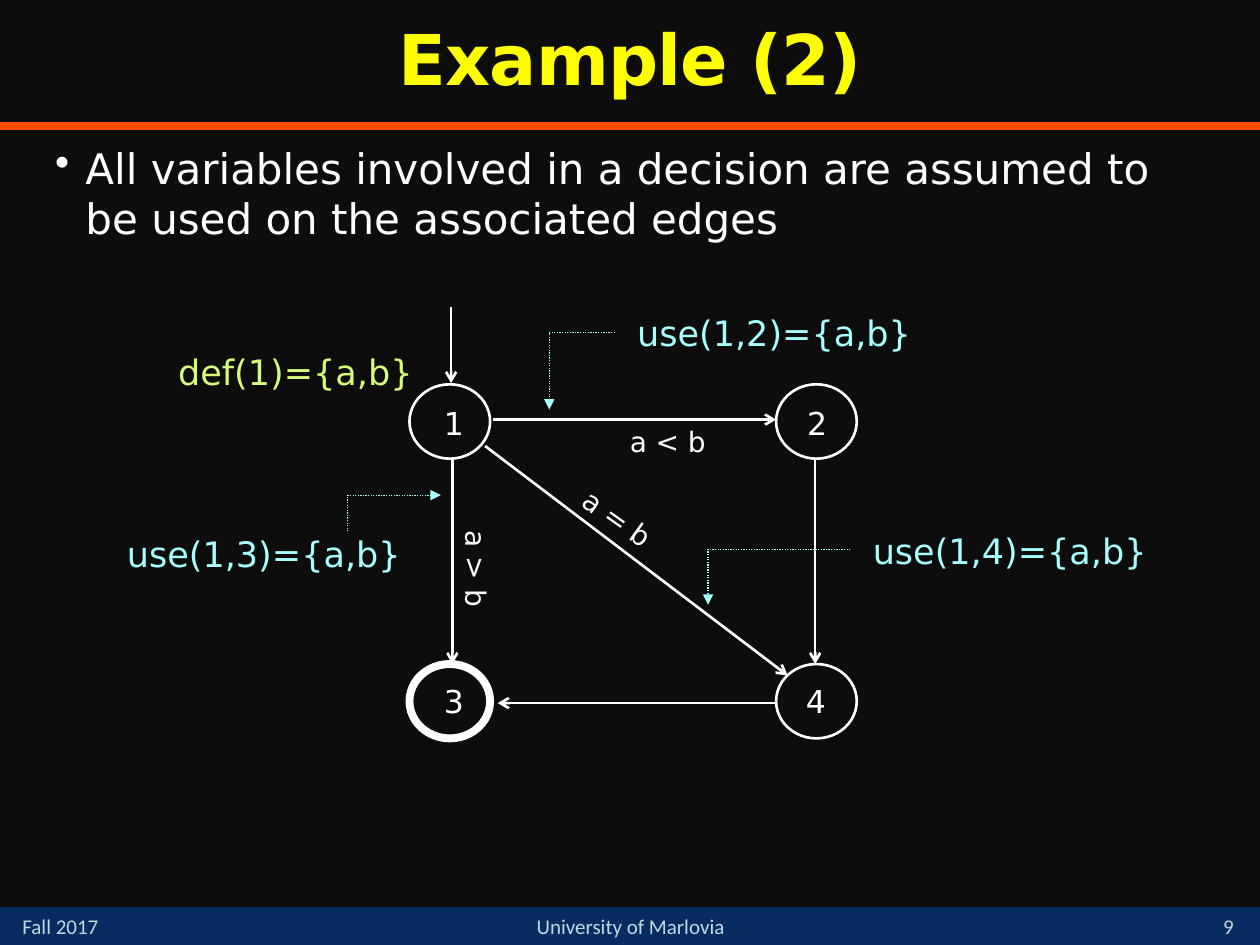
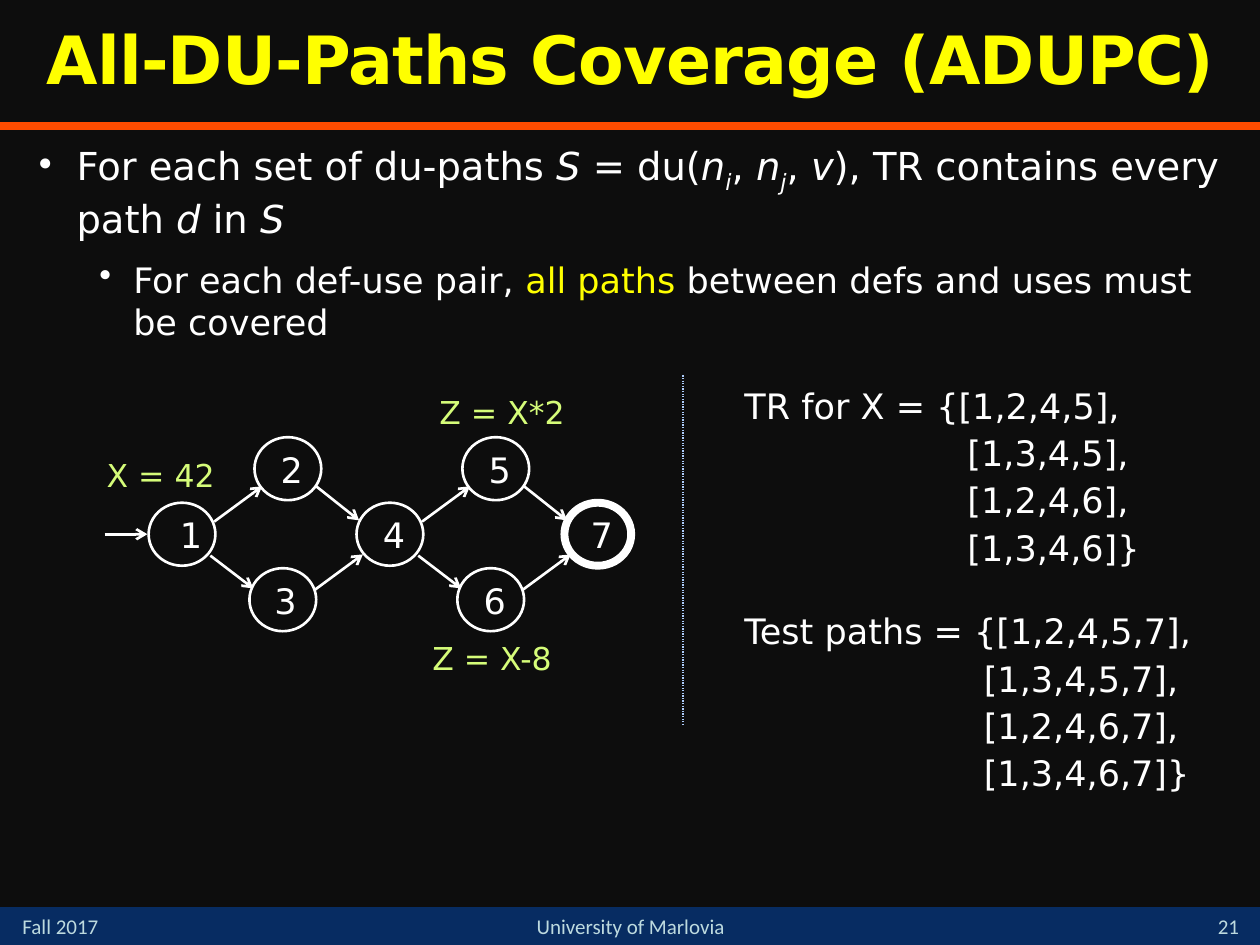
from dataclasses import dataclass
from typing import NamedTuple

from lxml import etree
from pptx import Presentation
from pptx.dml.color import RGBColor
from pptx.enum.dml import MSO_LINE
from pptx.enum.shapes import MSO_CONNECTOR, MSO_SHAPE
from pptx.enum.text import MSO_ANCHOR, MSO_AUTO_SIZE, PP_ALIGN
from pptx.oxml.ns import qn
from pptx.util import Inches, Pt

LEFT, CENTER, RIGHT = PP_ALIGN.LEFT, PP_ALIGN.CENTER, PP_ALIGN.RIGHT
TOP, MIDDLE, BOTTOM = MSO_ANCHOR.TOP, MSO_ANCHOR.MIDDLE, MSO_ANCHOR.BOTTOM
STRAIGHT, ELBOW = MSO_CONNECTOR.STRAIGHT, MSO_CONNECTOR.ELBOW
OVAL, RECT = MSO_SHAPE.OVAL, MSO_SHAPE.RECTANGLE
DOTS = MSO_LINE.ROUND_DOT
GROW, FIXED = MSO_AUTO_SIZE.SHAPE_TO_FIT_TEXT, MSO_AUTO_SIZE.NONE


@dataclass(frozen=True)
class Theme:
    font: str = "DejaVu Sans"
    foot_font: str = "Calibri"
    back: str = "0D0D0D"
    text: str = "FFFFFF"
    title: str = "FFFF00"
    rule: str = "FF4C00"
    band: str = "072C62"
    foot: str = "BDDADF"
    define: str = "D5FC79"
    use: str = "A7FEFF"
    split: str = "ACCBF9"
    foot_size: float = 12
    edge_size: float = 16
    node_size: float = 18
    list_size: float = 20
    lead_size: float = 22
    body_size: float = 24
    thin: float = 0.75
    line: float = 1.5
    thick: float = 4.5


THEME = Theme()


class Box(NamedTuple):
    left: float
    top: float
    width: float
    height: float

    def emu(self) -> list:
        return [Inches(v) for v in self]


class Run(NamedTuple):
    text: str
    italic: bool = False
    sub: bool = False
    color: str = THEME.text
    bold: bool = False
    track: float = 0


class Para(NamedTuple):
    runs: list[Run]
    size: float
    align: PP_ALIGN = LEFT
    level: int = 0
    margin: float = 0
    indent: float = 0
    before: float = 0
    after: float = 0
    bullet: bool = False
    spacing: float | None = None
    font: str = THEME.font


class Node(NamedTuple):
    box: Box
    name: str
    label: Box
    align: PP_ALIGN = LEFT
    final: bool = False


class Edge(NamedTuple):
    x1: float
    y1: float
    x2: float
    y2: float

    def shift(self, step: float) -> "Edge":
        return Edge(self.x1 + step, self.y1, self.x2 + step, self.y2)


def rgb(color: str) -> RGBColor:
    return RGBColor.from_string(color)


def add_run(para, run: Run, size: float, font: str) -> None:
    item = para.add_run()
    item.text = run.text
    face = item.font
    face.name, face.size = font, Pt(size)
    face.bold, face.italic = run.bold, run.italic
    face.color.rgb = rgb(run.color)
    props = face._element
    if run.sub:
        props.set("baseline", "-25000")
    if run.track:
        props.set("spc", str(int(run.track * 100)))


def add_para(para, data: Para) -> None:
    para.alignment, para.level = data.align, data.level
    para.space_before, para.space_after = Pt(data.before), Pt(data.after)
    if data.spacing:
        para.line_spacing = data.spacing
    props = para._p.get_or_add_pPr()
    props.set("marL", str(Inches(data.margin)))
    props.set("indent", str(Inches(data.indent)))
    if data.bullet:
        tint = etree.SubElement(props, qn("a:buClr"))
        etree.SubElement(tint, qn("a:srgbClr")).set("val", THEME.text)
        etree.SubElement(props, qn("a:buChar")).set("char", "•")
    for run in data.runs:
        add_run(para, run, data.size, data.font)


def add_text(slide, box: Box, paras: list[Para], anchor: MSO_ANCHOR = TOP,
             wrap: bool = True, grow: bool = False, turn: float = 0) -> None:
    shape = slide.shapes.add_textbox(*box.emu())
    shape.rotation = turn
    frame = shape.text_frame
    frame.word_wrap, frame.vertical_anchor = wrap, anchor
    frame.auto_size = GROW if grow else FIXED
    for k, data in enumerate(paras):
        add_para(frame.add_paragraph() if k else frame.paragraphs[0], data)


def add_line(slide, edge: Edge, color: str = THEME.text,
             width: float = THEME.line, kind: MSO_CONNECTOR = STRAIGHT):
    line = slide.shapes.add_connector(kind, *[Inches(v) for v in edge])
    line.line.color.rgb, line.line.width = rgb(color), Pt(width)
    etree.SubElement(line._element.spPr, qn("a:effectLst"))
    return line


def add_tip(line, kind: str, end: str = "tailEnd") -> None:
    etree.SubElement(line.line._get_or_add_ln(), qn(f"a:{end}")).set("type", kind)


def add_arrow(slide, edge: Edge) -> None:
    add_tip(add_line(slide, edge), "arrow")


def add_hook(slide, edge: Edge, end: str = "tailEnd") -> None:
    """Dotted pointer that runs sideways first, then turns once."""
    line = add_line(slide, edge, THEME.use, THEME.thin, ELBOW)
    line.line.dash_style = DOTS
    line._element.spPr.find(qn("a:prstGeom")).set("prst", "bentConnector2")
    add_tip(line, "triangle", end)


def add_node(slide, node: Node, size: float, grow: bool = False) -> None:
    ring = slide.shapes.add_shape(OVAL, *node.box.emu())
    ring.shadow.inherit = False
    ring.fill.background()
    ring.line.color.rgb = rgb(THEME.text)
    ring.line.width = Pt(THEME.thick if node.final else THEME.line)
    add_text(slide, node.label, [Para([Run(node.name)], size, node.align)],
             wrap=False, grow=grow)


def add_note(slide, box: Box, text: str, color: str, size: float) -> None:
    add_text(slide, box, [Para([Run(text, color=color)], size, CENTER)], grow=True)


def add_frame(deck, title: str, size: float, page: int):
    """New slide with title, rule and footer band."""
    slide = deck.slides.add_slide(deck.slide_layouts[6])
    band = slide.shapes.add_shape(RECT, *Box(0, 7.2, 10, 0.3).emu())
    band.shadow.inherit = False
    band.fill.solid()
    band.fill.fore_color.rgb = rgb(THEME.band)
    band.line.fill.background()
    add_line(slide, Edge(0, 1, 10, 1), THEME.rule, THEME.thick)
    for box, text, align, anchor in (
        (Box(0.08, 7.2, 1.17, 0.3), "Fall 2017", LEFT, TOP),
        (Box(9.5, 7.17, 0.5, 0.33), str(page), CENTER, BOTTOM),
        (Box(3.67, 7.2, 2.67, 0.3), "University of Marlovia", CENTER, TOP),
    ):
        add_text(slide, box, [Para([Run(text, color=THEME.foot)], THEME.foot_size,
                                   align, font=THEME.foot_font)], anchor)
    head = Run(title, color=THEME.title, bold=True, track=-0.5)
    add_text(slide, Box(0, 0, 10, 1),
             [Para([head], size, CENTER, spacing=0.9)], MIDDLE)
    return slide


def add_paths(slide, box: Box, margin: float, lines: list[str]) -> None:
    """List of paths whose later lines align under the first path."""
    first, *rest = lines
    paras = [Para([Run(first)], THEME.list_size, level=1, margin=1.07,
                  indent=-1.01, before=5, after=3)]
    paras += [Para([Run(text)], THEME.list_size, level=1, margin=margin, after=3)
              for text in rest]
    add_text(slide, box, paras)


def draw_example(deck) -> None:
    slide = add_frame(deck, "Example (2)", 40, 9)
    text = "All variables involved in a decision are assumed to be used on the associated edges"
    add_text(slide, Box(0.33, 1.08, 9.42, 2.16),
             [Para([Run(text)], THEME.body_size, margin=0.25, indent=-0.24,
                   before=20, after=3, bullet=True)])
    west, east, north, south = 3.25, 6.16, 3.05, 5.27
    for x, y, name, label, align in (
        (west, north, "1", Box(3.13, 3.16, 0.65, 0.4), RIGHT),
        (east, north, "2", Box(6.13, 3.16, 0.71, 0.41), CENTER),
        (west, south, "3", Box(3.07, 5.36, 0.71, 0.45), RIGHT),
        (east, south, "4", Box(6.12, 5.36, 0.71, 0.39), CENTER),
    ):
        node = Node(Box(x, y, 0.64, 0.59), name, label, align, name == "3")
        add_node(slide, node, THEME.node_size)
    for edge in (
        Edge(3.58, 2.44, 3.58, 3.04), Edge(3.91, 3.33, 6.16, 3.33),
        Edge(6.16, 5.58, 3.95, 5.58), Edge(3.85, 3.54, 6.25, 5.36),
        Edge(3.59, 3.64, 3.59, 5.27), Edge(6.47, 3.64, 6.47, 5.27),
    ):
        add_arrow(slide, edge)
    for box, text, turn in (
        (Box(4.9, 3.32, 1.01, 0.41), "a < b", 0),
        (Box(3.23, 4.38, 1, 0.47), "a > b", 90),
        (Box(4.47, 3.93, 0.83, 0.46), "a = b", 35.4),
    ):
        add_text(slide, box, [Para([Run(text)], THEME.edge_size)],
                 wrap=False, turn=turn)
    add_note(slide, Box(1.19, 2.73, 2.31, 0.44), "def(1)={a,b}",
             THEME.define, THEME.list_size)
    for x, y, node in ((0.83, 4.18, 3), (4.88, 2.42, 2), (6.75, 4.15, 4)):
        add_note(slide, Box(x, y, 2.53, 0.44), f"use(1,{node})={{a,b}}",
                 THEME.use, THEME.list_size)
    add_hook(slide, Edge(3.5, 3.93, 2.76, 4.21), "headEnd")
    add_hook(slide, Edge(4.88, 2.64, 4.36, 3.25))
    add_hook(slide, Edge(6.75, 4.36, 5.62, 4.8))


def draw_cover(deck) -> None:
    slide = add_frame(deck, "All-DU-Paths Coverage (ADUPC)", 38, 21)
    lead = [
        Run("For each set of du-paths "), Run("S", True), Run(" = du("),
        Run("n", True), Run("i", True, True), Run(", "),
        Run("n", True), Run("j", True, True), Run(", "), Run("v", True),
        Run("), TR contains every path "), Run("d", True), Run(" in "), Run("S", True),
    ]
    detail = [Run("For each def-use pair, "), Run("all paths ", color=THEME.title),
              Run("between defs and uses must be covered")]
    add_text(slide, Box(0.2, 1.08, 9.67, 5.75), [
        Para(lead, THEME.lead_size, margin=0.31, indent=-0.3,
             before=20, after=3, bullet=True),
        Para(detail, THEME.list_size, level=1, margin=0.76, indent=-0.27,
             before=7, after=3, bullet=True),
    ])

    step = 1.65
    spots = (
        (1.18, 3.99, 0.15, "147"), (2.02, 3.47, 0.11, "25"), (1.98, 4.51, 0.1, "36"),
    )
    for x, y, gap, names in spots:
        for k, name in enumerate(names):
            left = x + k * step
            inset = gap if k == 0 else 0.11
            label = Box(left + inset, y + 0.04, 0.33, 0.43)
            align = RIGHT if name in "14" else LEFT
            node = Node(Box(left, y, 0.53, 0.5), name, label, align, name == "7")
            add_node(slide, node, THEME.list_size, True)
    add_arrow(slide, Edge(0.83, 4.24, 1.17, 4.24))
    for edge in (
        Edge(1.7, 4.14, 2.08, 3.86), Edge(1.67, 4.41, 2.01, 4.67),
        Edge(2.51, 3.86, 2.85, 4.13), Edge(2.5, 4.68, 2.88, 4.4),
    ):
        for k in range(2):
            add_arrow(slide, edge.shift(k * step))

    for box, text in (
        (Box(0.67, 3.57, 1.21, 0.4), "X = 42"),
        (Box(3.25, 5.02, 1.31, 0.4), "Z = X-8"),
        (Box(3.33, 3.07, 1.31, 0.4), "Z = X*2"),
    ):
        add_note(slide, box, text, THEME.define, THEME.node_size)
    split = add_line(slide, Edge(5.42, 2.98, 5.42, 5.75), THEME.split, THEME.thin)
    split.line.dash_style = DOTS
    add_paths(slide, Box(5.75, 3, 3.75, 2.05), 1.83,
              ["TR for X = {[1,2,4,5],", "[1,3,4,5],", "[1,2,4,6],", "[1,3,4,6]}"])
    add_paths(slide, Box(5.75, 4.79, 4.03, 2.05), 1.96,
              ["Test paths = {[1,2,4,5,7],", "[1,3,4,5,7],",
               "[1,2,4,6,7],", "[1,3,4,6,7]}"])


def main() -> None:
    deck = Presentation()
    deck.slide_width, deck.slide_height = Inches(10), Inches(7.5)
    fill = deck.slide_master.background.fill
    fill.solid()
    fill.fore_color.rgb = rgb(THEME.back)
    draw_example(deck)
    draw_cover(deck)
    deck.save("out.pptx")


if __name__ == "__main__":
    main()
